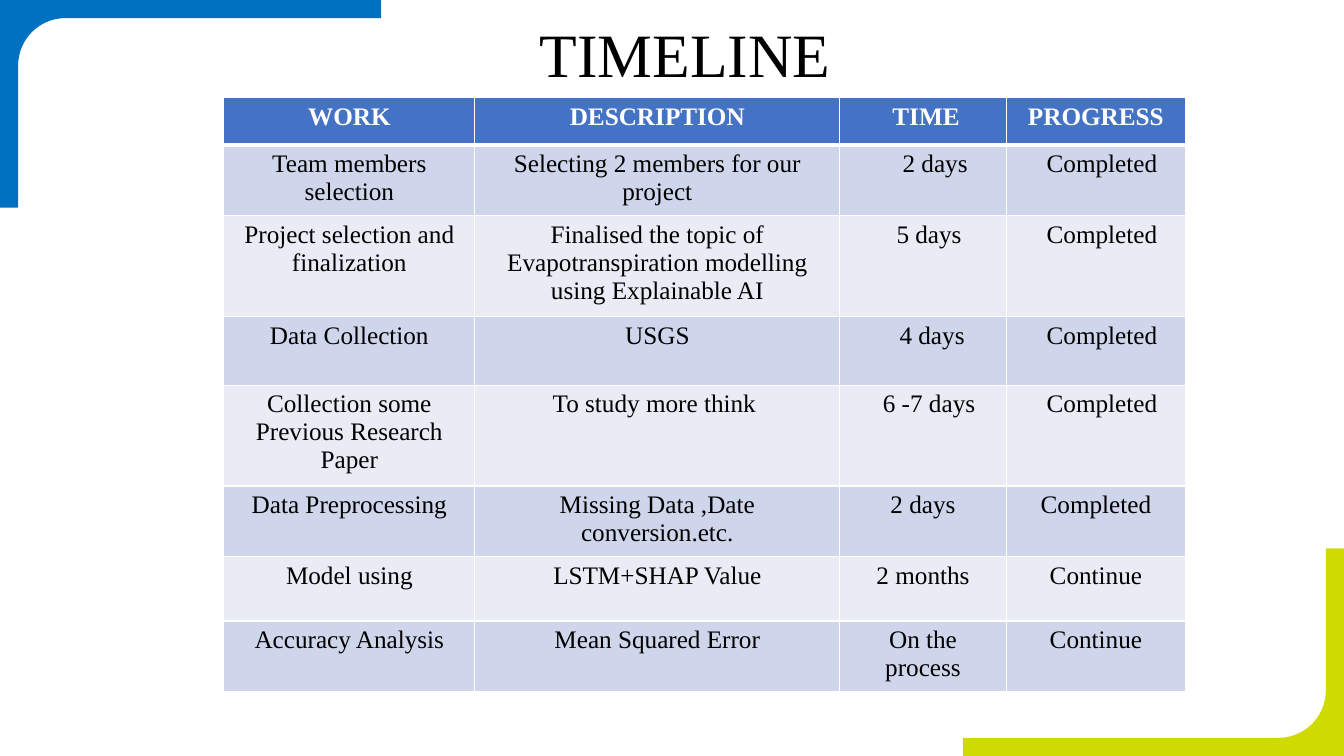
import math
from dataclasses import dataclass

from lxml import etree
from pptx import Presentation
from pptx import util as u
from pptx.dml import color
from pptx.enum import text
from pptx.oxml import ns

COLORS = {
    "black": "000000",
    "white": "FFFFFF",
    "blue": "0070C0",
    "lime": "CFDB00",
    "header": "4472C4",
    "band_dark": "CFD5EA",
    "band_light": "E9EBF5",
}
FONT = "Times New Roman"
SLIDE_W, SLIDE_H = 13.33, 7.5
CELL_MARGIN, SHIFT_STEP = 0.1, 0.06


@dataclass(frozen=True)
class Corner:
    x: float
    y: float
    direction: int
    fill: str


@dataclass(frozen=True)
class Entry:
    label: str
    shift: int = 0


@dataclass(frozen=True)
class Row:
    height: float
    entries: tuple[Entry, Entry, Entry, Entry]


CORNERS = [
    Corner(SLIDE_W, SLIDE_H, -1, "lime"),
    Corner(0, 0, 1, "blue"),
]
COLUMN_WIDTHS = [2.49, 3.62, 1.65, 1.78]
DONE = Entry("Completed", 2)
ONGOING = Entry("Continue")
ROWS = [
    Row(0.47, (Entry("WORK"), Entry("DESCRIPTION"), Entry("TIME", 1), Entry("PROGRESS"))),
    Row(0.64, (Entry("Team members selection"), Entry("Selecting 2 members for our project"),
               Entry("2 days", 4), DONE)),
    Row(0.92, (Entry("Project selection and finalization"),
               Entry("Finalised the topic of Evapotranspiration modelling using Explainable AI"),
               Entry("5 days", 2), DONE)),
    Row(0.68, (Entry("Data Collection"), Entry("USGS"), Entry("4 days", 3), DONE)),
    Row(0.64, (Entry("Collection some Previous Research Paper"),
               Entry("To study more think", -1), Entry("6 -7 days", 2), DONE)),
    Row(0.64, (Entry("Data Preprocessing"), Entry("Missing Data ,Date conversion.etc."),
               Entry("2 days"), Entry("Completed"))),
    Row(0.64, (Entry("Model using"), Entry("LSTM+SHAP Value"), Entry("2 months"), ONGOING)),
    Row(0.64, (Entry("Accuracy Analysis"), Entry("Mean Squared Error"),
               Entry("On the process"), ONGOING)),
]


def rgb(name: str) -> color.RGBColor:
    return color.RGBColor.from_string(COLORS[name])


def write(tf, content: str, size: int, font_color: str, bold: bool = False) -> None:
    tf.text = content
    p = tf.paragraphs[0]
    p.alignment = text.PP_ALIGN.CENTER
    r = p.runs[0]
    r.font.name = FONT
    r.font.size = u.Pt(size)
    r.font.bold = bold
    r.font.color.rgb = rgb(font_color)


def add_corner(s, corner: Corner) -> None:
    length, depth, thick, center, radius = 3.78, 2.06, 0.18, 0.65, 0.47
    steps = 24
    angles = [math.pi / 2 * i / steps for i in range(steps + 1)]
    arc = [(center - radius * math.sin(a), center - radius * math.cos(a)) for a in angles]
    outline = [(0, 0), (length, 0), (length, thick), *arc, (thick, depth), (0, depth)]
    points = [
        (u.Inches(corner.x + corner.direction * x), u.Inches(corner.y + corner.direction * y))
        for x, y in outline
    ]
    builder = s.shapes.build_freeform(*points[0])
    builder.add_line_segments(points[1:], close=True)
    sp = builder.convert_to_shape()
    sp.shadow.inherit = False
    sp.fill.solid()
    sp.fill.fore_color.rgb = rgb(corner.fill)
    sp.line.fill.background()


def add_borders(cell, bottom: int) -> None:
    tc_pr = cell._tc.get_or_add_tcPr()
    widths = {"a:lnL": 1, "a:lnR": 1, "a:lnT": 1, "a:lnB": bottom}
    for position, (tag, width) in enumerate(widths.items()):
        ln = etree.Element(ns.qn(tag), w=str(u.Pt(width)))
        fill = etree.SubElement(ln, ns.qn("a:solidFill"))
        etree.SubElement(fill, ns.qn("a:srgbClr"), val=COLORS["white"])
        tc_pr.insert(position, ln)


def add_cell(cell, entry: Entry, row_index: int) -> None:
    is_header = row_index == 0
    band = "band_dark" if row_index % 2 else "band_light"
    write(cell.text_frame, entry.label, 18, "white" if is_header else "black", is_header)
    cell.margin_left = u.Inches(CELL_MARGIN + SHIFT_STEP * max(entry.shift, 0))
    cell.margin_right = u.Inches(CELL_MARGIN + SHIFT_STEP * max(-entry.shift, 0))
    cell.fill.solid()
    cell.fill.fore_color.rgb = rgb("header" if is_header else band)
    add_borders(cell, 3 if row_index < 2 and is_header else 1)
    if row_index == 1:
        cell._tc.tcPr.find(ns.qn("a:lnT")).set("w", str(u.Pt(3)))


def add_timeline(s) -> None:
    height = sum(row.height for row in ROWS)
    frame = s.shapes.add_table(
        len(ROWS), len(COLUMN_WIDTHS),
        u.Inches(2.22), u.Inches(0.97), u.Inches(sum(COLUMN_WIDTHS)), u.Inches(height),
    )
    table = frame.table
    table.horz_banding = False
    for column, width in zip(table.columns, COLUMN_WIDTHS):
        column.width = u.Inches(width)
    for i, row in enumerate(ROWS):
        table.rows[i].height = u.Inches(row.height)
        for j, entry in enumerate(row.entries):
            add_cell(table.cell(i, j), entry, i)


def add_title(s) -> None:
    sp = s.shapes.add_textbox(u.Inches(4.64), u.Inches(0.2), u.Inches(4.31), u.Inches(0.65))
    tf = sp.text_frame
    tf.word_wrap = True
    tf.vertical_anchor = text.MSO_ANCHOR.MIDDLE
    write(tf, "TIMELINE", 44, "black")


def main() -> None:
    prs = Presentation()
    prs.slide_width, prs.slide_height = u.Inches(SLIDE_W), u.Inches(SLIDE_H)
    s = prs.slides.add_slide(prs.slide_layouts[6])
    add_title(s)
    for corner in CORNERS:
        add_corner(s, corner)
    add_timeline(s)
    prs.save("out.pptx")


if __name__ == "__main__":
    main()
